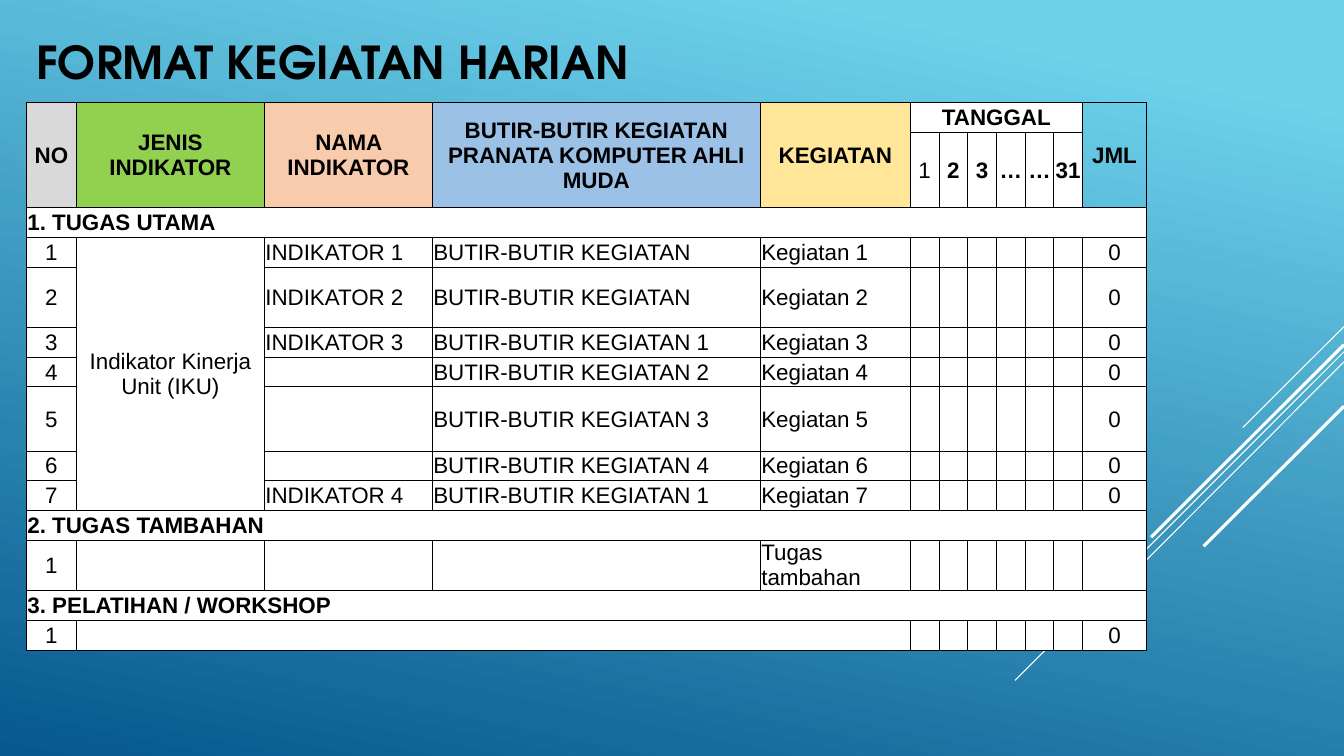
import lxml.etree
import pptx
import pptx.util
import pptx.dml.color
import pptx.enum.shapes
import pptx.enum.text
import pptx.oxml
import pptx.oxml.ns

Pt = pptx.util.Pt
Align = pptx.enum.text.PP_ALIGN
MIDDLE = pptx.enum.text.MSO_ANCHOR.MIDDLE

COLORS = {
    "sky": "6ED2EB", "deep": "06588E", "white": "FFFFFF", "black": "000000",
    "grey": "D9D9D9", "green": "92D050", "peach": "F8CBAD", "blue": "9BC2E6", "yellow": "FFE699",
}
HEADER_FILLS = ["grey", "green", "peach", "blue", "yellow"] + ["white"] * 6 + [None]
COLUMN_WIDTHS = [35.7, 134.3, 120, 234.3, 107.1] + [20.5] * 6 + [45.7]
ROW_HEIGHT = 21.2
TALL_ROWS = {1: 53.6, 4: 43.2, 7: 45.8, 11: 36.2}
SECTION_ROWS = (2, 10, 12)
CENTERED_COLUMNS = (0, 1, 11)
DAYS = [""] * 6
ACTIVITIES = [
    ("INDIKATOR 1", "BUTIR-BUTIR KEGIATAN"),
    ("INDIKATOR 2", "BUTIR-BUTIR KEGIATAN"),
    ("INDIKATOR 3", "BUTIR-BUTIR KEGIATAN 1"),
    ("", "BUTIR-BUTIR KEGIATAN 2"),
    ("", "BUTIR-BUTIR KEGIATAN 3"),
    ("", "BUTIR-BUTIR KEGIATAN 4"),
    ("INDIKATOR 4", "BUTIR-BUTIR KEGIATAN 1"),
]
ROWS = [
    ["NO", "JENIS INDIKATOR", "NAMA INDIKATOR", "BUTIR-BUTIR KEGIATAN PRANATA KOMPUTER AHLI MUDA",
     "KEGIATAN", "TANGGAL", "", "", "", "", "", "JML"],
    [""] * 5 + ["1", "2", "3", "…", "…", "31", ""],
    ["1. TUGAS UTAMA"] + [""] * 11,
    *[[str(number), "Indikator Kinerja Unit (IKU)" if number == 1 else "", indicator, item,
       f"Kegiatan {number}", *DAYS, "0"]
      for number, (indicator, item) in enumerate(ACTIVITIES, 1)],
    ["2. TUGAS TAMBAHAN"] + [""] * 11,
    ["1", "", "", "", "Tugas tambahan", *DAYS, ""],
    ["3. PELATIHAN / WORKSHOP"] + [""] * 11,
    ["1", "", "", "", "", *DAYS, "0"],
]
MERGES = [
    *[((0, column), (1, column)) for column in (0, 1, 2, 3, 4, 11)],
    ((0, 5), (0, 10)),
    *[((row, 0), (row, 11)) for row in SECTION_ROWS],
    ((3, 1), (9, 1)),
    ((13, 1), (13, 4)),
]
STRIPES = [
    (960, 233.3, 887.8, 305.3, 0.75),
    (960, 251.3, 725, 486, 0.75),
    (960, 258.5, 810.7, 408.2, 0.75),
    (960, 246.2, 822.2, 383.8, 2.25),
    (960, 290.2, 859.7, 390.2, 2.25),
]


def apply(target, values):
    for name, value in values.items():
        setattr(target, name, value)


def rgb(color):
    return pptx.dml.color.RGBColor.from_string(COLORS[color])


class SlideBuilder:
    title_font = {"name": "TeX Gyre Adventor", "size": Pt(32.4), "bold": True}
    cell_font = {"name": "Arial", "size": Pt(16)}
    cell_format = {"margin_left": Pt(0.7), "margin_right": Pt(0.7), "margin_top": Pt(0.7),
                   "margin_bottom": Pt(0), "vertical_anchor": MIDDLE}

    def __init__(self, presentation):
        self.slide = presentation.slides.add_slide(presentation.slide_layouts[5])

    def background(self, start, end):
        fill = self.slide.background.fill
        fill.gradient()
        fill.gradient_angle = 258
        for stop, color, position in zip(fill.gradient_stops, (start, end), (0.1, 1)):
            apply(stop, {"position": position})
            stop.color.rgb = rgb(color)

    def title(self, text, left, top, width, height):
        shape = self.slide.shapes.title
        apply(shape, {"left": Pt(left), "top": Pt(top), "width": Pt(width), "height": Pt(height)})
        apply(shape.text_frame, {"text": text, "vertical_anchor": MIDDLE, "word_wrap": True,
                                 "auto_size": pptx.enum.text.MSO_AUTO_SIZE.NONE})
        paragraph = shape.text_frame.paragraphs[0]
        paragraph.alignment = Align.LEFT
        self.style_run(paragraph.runs[0], self.title_font)

    def style_run(self, run, font):
        apply(run.font, font)
        run.font.color.rgb = rgb("black")

    def line(self, start_x, start_y, end_x, end_y, width):
        connector = self.slide.shapes.add_connector(
            pptx.enum.shapes.MSO_CONNECTOR.STRAIGHT, Pt(start_x), Pt(start_y), Pt(end_x), Pt(end_y))
        connector.line.color.rgb = rgb("white")
        connector.line.width = Pt(width)
        lxml.etree.SubElement(connector._element.spPr, pptx.oxml.ns.qn("a:effectLst"))

    def cell(self, cell, text, fill, bold, alignment):
        apply(cell, self.cell_format)
        if fill:
            cell.fill.solid()
            cell.fill.fore_color.rgb = rgb(fill)
        else:
            cell.fill.background()
        paragraph = cell.text_frame.paragraphs[0]
        paragraph.alignment = alignment
        if text:
            run = paragraph.add_run()
            run.text = text
            self.style_run(run, {**self.cell_font, "bold": bold})
        else:
            ending = lxml.etree.SubElement(paragraph._p, pptx.oxml.ns.qn("a:endParaRPr"))
            ending.set("sz", "1600")
        self.borders(cell)

    def borders(self, cell):
        properties = cell._tc.get_or_add_tcPr()
        for index, side in enumerate("LRTB"):
            properties.insert(index, pptx.oxml.parse_xml(
                f'<a:ln{side} {pptx.oxml.ns.nsdecls("a")} w="{Pt(0.5)}"><a:solidFill>'
                f'<a:srgbClr val="{COLORS["black"]}"/></a:solidFill></a:ln{side}>'))

    def table(self, left, top):
        heights = [TALL_ROWS.get(row, ROW_HEIGHT) for row in range(len(ROWS))]
        table = self.slide.shapes.add_table(
            len(ROWS), len(COLUMN_WIDTHS), Pt(left), Pt(top),
            Pt(sum(COLUMN_WIDTHS)), Pt(sum(heights))).table
        apply(table, {"first_row": False, "horz_banding": False})
        for column, width in zip(table.columns, COLUMN_WIDTHS):
            column.width = Pt(width)
        for row, height in zip(table.rows, heights):
            row.height = Pt(height)
        for row, texts in enumerate(ROWS):
            for column, text in enumerate(texts):
                header, section = row < 2, row in SECTION_ROWS
                centered = header or (column in CENTERED_COLUMNS and not section)
                self.cell(table.cell(row, column), text,
                          HEADER_FILLS[column] if header else "white",
                          (header or section) and text != "1",
                          Align.CENTER if centered else Align.LEFT)
        for first, last in MERGES:
            table.cell(*first).merge(table.cell(*last))


def main():
    presentation = pptx.Presentation()
    apply(presentation, {"slide_width": Pt(960), "slide_height": Pt(540)})
    builder = SlideBuilder(presentation)
    builder.background("sky", "deep")
    for stripe in STRIPES:
        builder.line(*stripe)
    builder.title("FORMAT KEGIATAN HARIAN", 18.7, 13, 483.1, 61.2)
    builder.table(18.9, 73.2)
    presentation.save("out.pptx")


if __name__ == "__main__":
    main()
